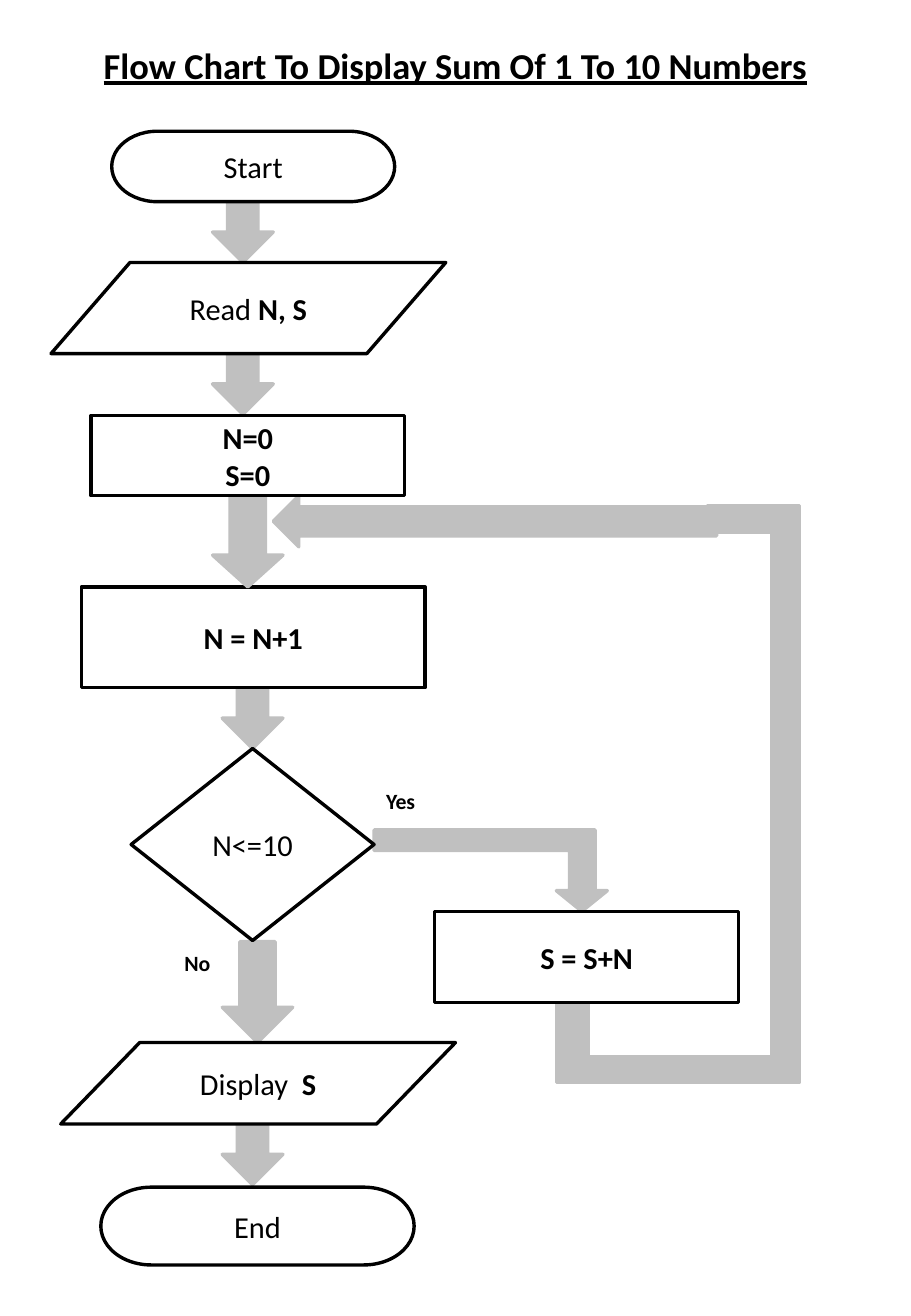
from dataclasses import dataclass

from pptx import Presentation
from pptx.dml.color import RGBColor
from pptx.enum.shapes import MSO_SHAPE
from pptx.enum.text import MSO_ANCHOR, PP_ALIGN
from pptx.util import Inches, Pt

DOWN, LEFT = MSO_SHAPE.DOWN_ARROW, MSO_SHAPE.LEFT_ARROW
STEP = MSO_SHAPE.FLOWCHART_PROCESS
TEST = MSO_SHAPE.FLOWCHART_DECISION
ENDING = MSO_SHAPE.FLOWCHART_TERMINATOR
DATA = MSO_SHAPE.FLOWCHART_DATA
MIDDLE = MSO_ANCHOR.MIDDLE
CENTER, START = PP_ALIGN.CENTER, PP_ALIGN.LEFT


@dataclass(frozen=True)
class Theme:
    font: str = "Calibri"
    ink: RGBColor = RGBColor(0, 0, 0)
    paper: RGBColor = RGBColor(255, 255, 255)
    flow: RGBColor = RGBColor(192, 192, 192)
    title: float = 21.6
    body: float = 18
    label: float = 12.9
    line: float = 2


class Chart:
    def __init__(self, slide, theme):
        self.slide, self.theme = slide, theme

    def paint(self, shape, fill, line):
        shape.shadow.inherit = False
        shape.fill.solid()
        shape.fill.fore_color.rgb = fill
        shape.line.color.rgb = line
        shape.line.width = Pt(self.theme.line)

    def letter(self, frame, lines, size, align=CENTER, pad=0):
        """Fill a frame with lines, each a list of (text, bold) runs."""
        frame.word_wrap = True
        frame.vertical_anchor = MIDDLE
        frame.margin_left = frame.margin_right = Inches(pad)
        frame.margin_top = frame.margin_bottom = 0
        for i, runs in enumerate(lines):
            para = frame.add_paragraph() if i else frame.paragraphs[0]
            para.alignment = align
            font = para.font
            font.name, font.size = self.theme.font, Pt(size)
            font.color.rgb = self.theme.ink
            same = len({bold for _, bold in runs}) == 1
            if same:
                font.bold = runs[0][1]
            for text, bold in runs:
                run = para.add_run()
                run.text = text
                if not same:
                    run.font.bold = bold

    def title(self, text, *box):
        shape = self.slide.shapes.title
        shape.left, shape.top, shape.width, shape.height = map(Inches, box)
        self.letter(shape.text_frame, [[(text, True)]], self.theme.title)
        shape.text_frame.paragraphs[0].font.underline = True

    def node(self, kind, lines, *box):
        shape = self.slide.shapes.add_shape(kind, *map(Inches, box))
        self.paint(shape, self.theme.paper, self.theme.ink)
        self.letter(shape.text_frame, lines, self.theme.body)

    def arrow(self, kind, *box, shaft=0.5, head=0.5):
        shape = self.slide.shapes.add_shape(kind, *map(Inches, box))
        shape.adjustments[0], shape.adjustments[1] = shaft, head
        self.paint(shape, self.theme.flow, self.theme.flow)

    def band(self, *points):
        first, *rest = [(Inches(x), Inches(y)) for x, y in points]
        pen = self.slide.shapes.build_freeform(*first)
        pen.add_line_segments(rest, close=True)
        self.paint(pen.convert_to_shape(), self.theme.flow, self.theme.flow)

    def label(self, text, *box):
        shape = self.slide.shapes.add_textbox(*map(Inches, box))
        frame = shape.text_frame
        self.letter(frame, [[(text, True)]], self.theme.label, START, 0.1)
        frame.paragraphs[0].line_spacing = 0.6


def main():
    deck = Presentation()
    deck.slide_width, deck.slide_height = Inches(7.5), Inches(10.83)
    chart = Chart(deck.slides.add_slide(deck.slide_layouts[5]), Theme())

    chart.title("Flow Chart To Display Sum Of 1 To 10 Numbers",
                0, 0.41, 7.5, 0.25)

    for left, top in ((1.75, 1.66), (1.75, 2.91), (1.83, 5.66), (1.83, 9.25)):
        chart.arrow(DOWN, left, top, 0.5, 0.5)
    chart.arrow(DOWN, 1.83, 7.75, 0.58, 0.83)
    # Yes branch
    chart.band((3.08, 7), (4.69, 7), (4.69, 7.33), (4.58, 7.33), (4.79, 7.5),
               (5, 7.33), (4.9, 7.33), (4.9, 6.83), (3.08, 6.83))

    chart.node(ENDING, [[("Start", False)]], 0.92, 1.08, 2.33, 0.58)
    chart.node(DATA, [[("Read ", False), ("N, S", True)]],
               0.42, 2.16, 3.25, 0.75)
    chart.node(STEP, [[("N = N+1", True)]], 0.67, 4.83, 2.83, 0.83)
    chart.node(TEST, [[("N<=10", False)]], 1.08, 6.16, 2, 1.58)
    chart.node(DATA, [[("Display", False), ("  S", True)]],
               0.5, 8.58, 3.25, 0.67)
    chart.node(ENDING, [[("End", False)]], 0.83, 9.77, 2.58, 0.64)

    # Loop back to the counter
    chart.arrow(DOWN, 1.75, 4, 0.58, 0.83, head=0.45)
    chart.band((4.58, 8.25), (4.84, 8.25), (4.84, 8.7), (6.58, 8.7),
               (6.58, 8.91), (4.58, 8.91))
    chart.band((5.83, 4.16), (5.83, 4.38), (6.35, 4.38), (6.35, 8.91),
               (6.58, 8.91), (6.58, 4.16))
    chart.arrow(LEFT, 2.25, 4.08, 3.65, 0.42, shaft=0.57)

    chart.node(STEP, [[("S = S+N", True)]], 3.58, 7.5, 2.5, 0.75)
    chart.node(STEP, [[("N=0", True)], [("S=0", True)]],
               0.75, 3.42, 2.58, 0.66)
    chart.label("No", 1.42, 7.83, 0.58, 0.25)
    chart.label("Yes", 3.08, 6.5, 0.58, 0.25)
    deck.save("out.pptx")


if __name__ == "__main__":
    main()
